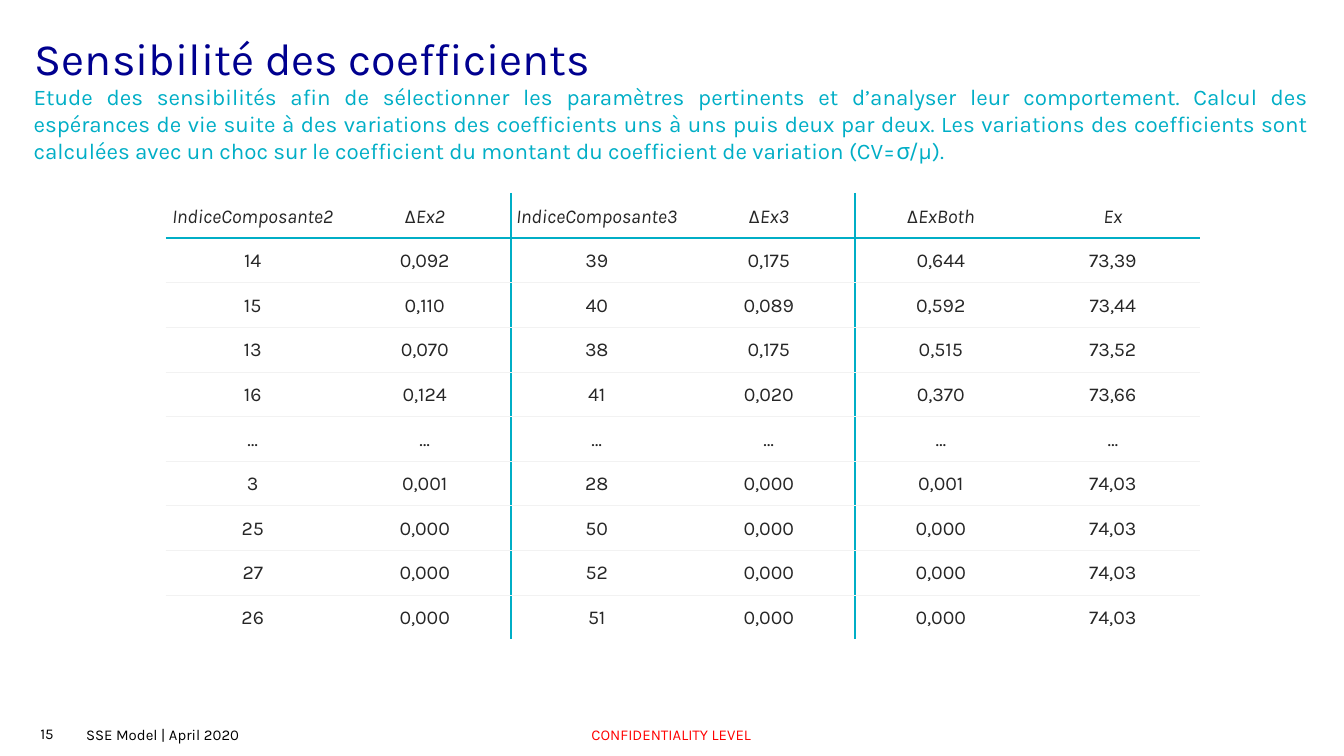
from lxml import etree
from pptx import Presentation
from pptx.dml.color import RGBColor
from pptx.enum.text import MSO_ANCHOR, PP_ALIGN
from pptx.oxml.ns import qn
from pptx.util import Inches, Pt

LEFT, CENTER, JUSTIFY = PP_ALIGN.LEFT, PP_ALIGN.CENTER, PP_ALIGN.JUSTIFY
MIDDLE, BOTTOM = MSO_ANCHOR.MIDDLE, MSO_ANCHOR.BOTTOM

NAVY = RGBColor(0x00, 0x00, 0x8F)
TEAL = RGBColor(0x00, 0xAE, 0xC6)
DARK = RGBColor(0x26, 0x26, 0x26)
PALE = RGBColor(0xF2, 0xF2, 0xF2)
RED = RGBColor(0xFF, 0x00, 0x00)
BLACK = RGBColor(0x00, 0x00, 0x00)
WHITE = RGBColor(0xFF, 0xFF, 0xFF)


def add_run(p, text, size, color, italic=False):
    r = p.add_run()
    r.text = text
    r.font.color.rgb = color
    for name, value in {"name": "Karla", "size": Pt(size), "italic": italic}.items():
        setattr(r.font, name, value)


def add_border(cell, side, color, width):
    """Draw one cell edge; call in the order L, R, T, B, before the fill."""
    ln = etree.SubElement(cell._tc.get_or_add_tcPr(), qn(f"a:ln{side}"), w=str(Pt(width)))
    fill = etree.SubElement(ln, qn("a:solidFill"))
    etree.SubElement(fill, qn("a:srgbClr"), val=str(color))


prs = Presentation()
prs.slide_width = Inches(10)
prs.slide_height = Inches(10 * 9 / 16)
s = prs.slides.add_slide(prs.slide_layouts[6])

INTRO = (
    "Etude des sensibilités afin de sélectionner les paramètres pertinents et "
    "d’analyser leur comportement. Calcul des espérances de vie suite à des "
    "variations des coefficients uns à uns puis deux par deux. Les variations des "
    "coefficients sont calculées avec un choc sur le coefficient du montant du "
    "coefficient de variation (CV=σ/μ)."
)
NO_INSET, INSET = (0, 0), (0.09, 0.04)

# text, (left, top, width, height), size, colour, alignment, anchor, (side, top) inset
texts = [
    ("15", (0.01, 5.32, 0.68, 0.27), 8, BLACK, CENTER, MIDDLE, INSET),
    ("SSE Model | April 2020", (0.55, 5.37, 2.42, 0.19), 8, BLACK, LEFT, MIDDLE, INSET),
    ("CONFIDENTIALITY LEVEL", (3.64, 5.37, 2.71, 0.19), 8, RED, CENTER, MIDDLE, INSET),
    ("Sensibilité des coefficients", (0.26, 0.23, 9.65, 0.39), 24, NAVY, LEFT, MIDDLE, NO_INSET),
    (INTRO, (0.25, 0.61, 9.49, 0.61), 12, TEAL, JUSTIFY, BOTTOM, NO_INSET),
]
for text, box, size, color, align, anchor, (side, top) in texts:
    tf = s.shapes.add_textbox(*map(Inches, box)).text_frame
    frame = {
        "word_wrap": True, "vertical_anchor": anchor,
        "margin_left": Inches(side), "margin_right": Inches(side),
        "margin_top": Inches(top), "margin_bottom": Inches(top),
    }
    for name, value in frame.items():
        setattr(tf, name, value)
    p = tf.paragraphs[0]
    p.alignment = align
    add_run(p, text, size, color)

rows = [
    ["IndiceComposante2", "ΔEx2", "IndiceComposante3", "ΔEx3", "ΔExBoth", "Ex"],
    ["14", "0,092", "39", "0,175", "0,644", "73,39"],
    ["15", "0,110", "40", "0,089", "0,592", "73,44"],
    ["13", "0,070", "38", "0,175", "0,515", "73,52"],
    ["16", "0,124", "41", "0,020", "0,370", "73,66"],
    ["…"] * 6,
    ["3", "0,001", "28", "0,000", "0,001", "74,03"],
    ["25", "0,000", "50", "0,000", "0,000", "74,03"],
    ["27", "0,000", "52", "0,000", "0,000", "74,03"],
    ["26", "0,000", "51", "0,000", "0,000", "74,03"],
]
last = len(rows) - 1
CELL_FORMAT = {
    "vertical_anchor": MIDDLE, "margin_left": Inches(0.01), "margin_right": Inches(0.01),
    "margin_top": Inches(0.01), "margin_bottom": 0,
}
table = s.shapes.add_table(
    len(rows), len(rows[0]), Inches(1.24), Inches(1.44), Inches(7.68), Inches(3.32)
).table
table.first_row = table.horz_banding = False

for i, row in enumerate(rows):
    for j, text in enumerate(row):
        cell = table.cell(i, j)
        for name, value in CELL_FORMAT.items():
            setattr(cell, name, value)

        # Teal rules split the column pairs and underline the header
        if j in (2, 4):
            add_border(cell, "L", TEAL, 1)
        if j in (1, 3):
            add_border(cell, "R", TEAL, 1)
        if i > 0:
            add_border(cell, "T", *((TEAL, 1) if i == 1 else (PALE, 0.5)))
        if i < last:
            add_border(cell, "B", *((TEAL, 1) if i == 0 else (PALE, 0.5)))
        cell.fill.solid()
        cell.fill.fore_color.rgb = WHITE

        p = cell.text_frame.paragraphs[0]
        p.alignment = CENTER
        if text.startswith("Δ"):
            add_run(p, "Δ", 10.5, DARK)
        add_run(p, text.removeprefix("Δ"), 10.5, DARK, italic=i == 0)

prs.save("out.pptx")
